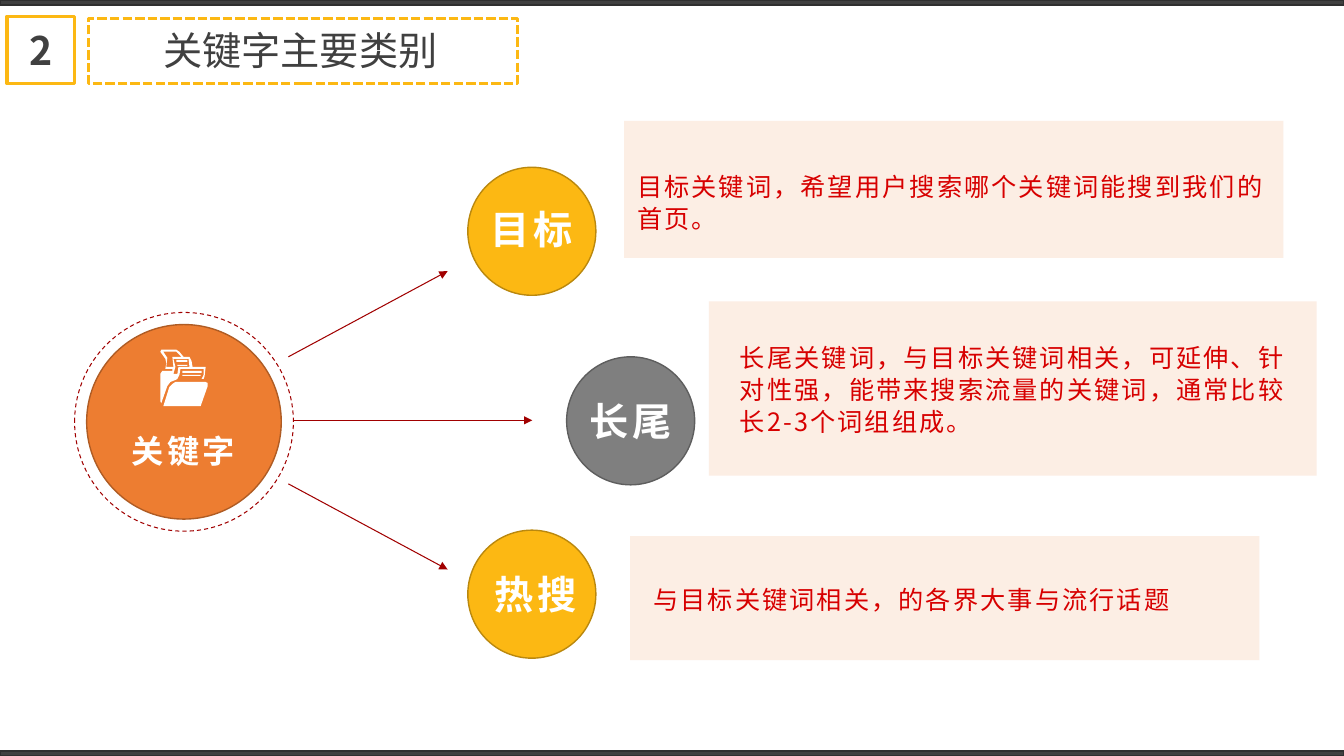
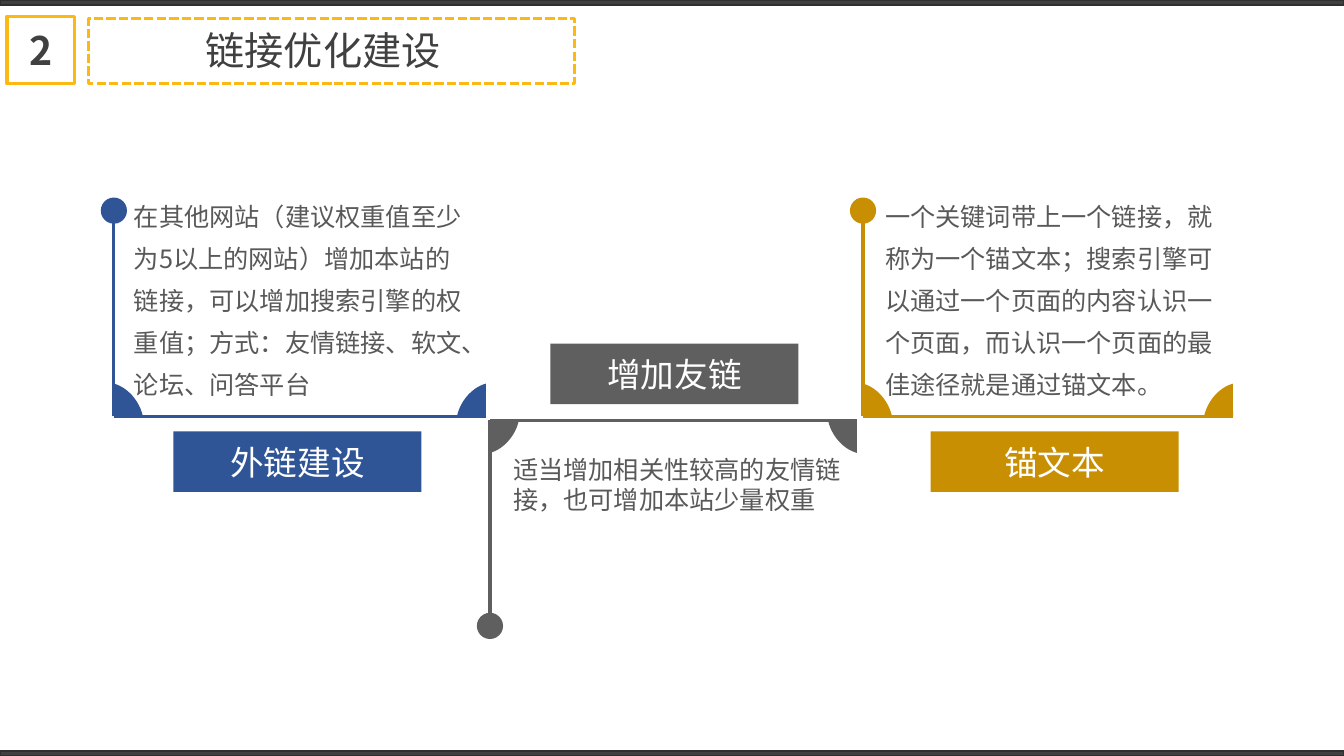
from dataclasses import dataclass
from typing import NamedTuple, Optional

from lxml import etree
from pptx import Presentation
from pptx.dml.color import RGBColor
from pptx.enum.dml import MSO_LINE
from pptx.enum.shapes import MSO_CONNECTOR, MSO_SHAPE
from pptx.enum.text import MSO_ANCHOR, PP_ALIGN
from pptx.oxml.ns import qn
from pptx.util import Pt

RECT, OVAL, PIE = MSO_SHAPE.RECTANGLE, MSO_SHAPE.OVAL, MSO_SHAPE.PIE
STRAIGHT = MSO_CONNECTOR.STRAIGHT
SHORT_DASH, DASH = MSO_LINE.SQUARE_DOT, MSO_LINE.DASH
LEFT, CENTER = PP_ALIGN.LEFT, PP_ALIGN.CENTER
TOP, MIDDLE, BOTTOM = MSO_ANCHOR.TOP, MSO_ANCHOR.MIDDLE, MSO_ANCHOR.BOTTOM

# Layout grid: every length below counts its columns or rows
COLS, ROWS = 1333, 750
CELL = 9144


@dataclass(frozen=True)
class Theme:
    font: str = "Noto Sans CJK SC"
    ink: str = "404040"
    ink_edge: str = "2F2F2F"
    white: str = "FFFFFF"
    amber: str = "FCB813"
    amber_edge: str = "BA880E"
    orange: str = "ED7D31"
    orange_edge: str = "AF5C24"
    gray: str = "7F7F7F"
    gray_edge: str = "5E5E5E"
    panel: str = "FBE5D6"
    panel_alpha: int = 65
    arrow: str = "A10000"
    red_text: str = "D70000"
    body_text: str = "595959"
    blue: str = "2F5597"
    slate: str = "5F5F5F"
    gold: str = "C98F03"
    title_size: int = 28
    tag_size: int = 24
    hub_size: int = 23
    body_size: int = 18
    thin: float = 0.75
    edge: float = 1
    thick: float = 2.25


THEME = Theme()


class Box(NamedTuple):
    left: float
    top: float
    width: float
    height: float


class Point(NamedTuple):
    x: float
    y: float


class Stroke(NamedTuple):
    color: str
    width: float
    dash: Optional[MSO_LINE] = None


class TextStyle(NamedTuple):
    size: int
    color: str
    bold: bool = False
    align: PP_ALIGN = CENTER
    anchor: MSO_ANCHOR = MIDDLE
    leading: Optional[float] = None
    tracking: float = 0
    wrap: bool = True


@dataclass(frozen=True)
class Branch:
    label: str
    circle: Point
    label_at: Point
    fill: str
    edge: str
    panel: Box
    note: str
    note_box: Box
    arrow_start: Point
    arrow_tip: Point


@dataclass(frozen=True)
class Bracket:
    tag: str
    color: str
    left: float
    right: float
    base: float
    upward: bool
    tag_at: Point
    note: str
    note_box: Box
    note_style: TextStyle


TITLE = TextStyle(THEME.title_size, THEME.ink, anchor=TOP)
NUMBER = TextStyle(THEME.title_size, THEME.ink, bold=True)
NODE = TextStyle(THEME.title_size, THEME.white, bold=True, tracking=2.5, wrap=False)
HUB = NODE._replace(size=THEME.hub_size)
RED_NOTE = TextStyle(THEME.body_size, THEME.red_text, align=LEFT, leading=23, tracking=1.5)
TAG = TextStyle(THEME.tag_size, THEME.white)
NOTE_BELOW = TextStyle(THEME.body_size, THEME.body_text, align=LEFT, anchor=TOP)
NOTE_ABOVE = NOTE_BELOW._replace(anchor=BOTTOM, leading=30)

CIRCLE = 127
LABEL_SIZE = (105, 57)
TAG_SIZE = (246, 60)
POST, BALL_REACH, BALL = 195, 204, 26
CORNER_SIZE, CORNER_TILT, CORNER_ARC = (54, 71), 31.7, (181.135, 18.899)

BRANCHES = [
    Branch("目标", Point(464, 166), Point(475, 199), THEME.amber, THEME.amber_edge,
           Box(619, 120, 654, 136),
           "目标关键词，希望用户搜索哪个关键词能搜到我们的首页。",
           Box(622, 162, 647, 75), Point(286, 354), Point(444, 269)),
    Branch("长尾", Point(562, 354), Point(573, 389), THEME.gray, THEME.gray_edge,
           Box(703, 299, 603, 173),
           "长尾关键词，与目标关键词相关，可延伸、针对性强，能带来搜索流量的关键词，"
           "通常比较长2-3个词组组成。",
           Box(724, 332, 582, 107), Point(292, 417), Point(528, 417)),
    Branch("热搜", Point(464, 526), Point(479, 561), THEME.amber, THEME.amber_edge,
           Box(625, 532, 624, 123),
           "与目标关键词相关，的各界大事与流行话题",
           Box(638, 573, 611, 42), Point(286, 480), Point(444, 565)),
]

BRACKETS = [
    Bracket("外链建设", THEME.blue, 113, 482, 413, True, Point(172, 428),
            "在其他网站（建议权重值至少为5以上的网站）增加本站的链接，可以增加搜索引擎的"
            "权重值；方式：友情链接、软文、论坛、问答平台",
            Box(123, 168, 350, 233), NOTE_ABOVE),
    Bracket("增加友链", THEME.slate, 486, 850, 417, False, Point(546, 341),
            "适当增加相关性较高的友情链接，也可增加本站少量权重",
            Box(499, 446, 347, 197), NOTE_BELOW),
    Bracket("锚文本", THEME.gold, 856, 1223, 413, True, Point(923, 428),
            "一个关键词带上一个链接，就称为一个锚文本；搜索引擎可以通过一个页面的内容"
            "认识一个页面，而认识一个页面的最佳途径就是通过锚文本。",
            Box(868, 179, 350, 222), NOTE_ABOVE),
]


def bar(left: int, top: int, right: int, bottom: int) -> list:
    return [(left, top), (right, top), (right, bottom), (left, bottom)]


FOLDER_ICON = [
    # Back cover with the outlines of both sheets
    [(171, 368), (161, 368), (159, 371), (159, 398), (160, 400), (166, 383), (169, 379),
     (174, 377), (176, 376), (178, 372), (179, 366), (202, 366), (202, 372), (200, 376),
     (202, 376), (203, 373), (204, 364), (191, 364), (190, 358), (188, 354), (182, 354),
     (178, 349), (175, 347), (160, 347), (159, 349), (164, 356), (165, 360), (164, 366),
     (171, 366)],
    # Text lines on the sheets
    bar(181, 372, 199, 373), bar(181, 368, 200, 370),
    bar(176, 362, 186, 363), bar(175, 357, 186, 359),
    # Front cover
    [(199, 403), (162, 403), (168, 384), (171, 381), (174, 379), (204, 379), (206, 380),
     (206, 383)],
    # Openings of the sheets
    [(176, 371), (172, 371), (174, 364), (172, 356), (187, 356), (188, 364), (177, 364)],
    [(172, 364), (165, 364), (166, 355), (162, 349), (175, 349), (180, 354), (171, 354)],
]


def emu(*cells: float) -> list[int]:
    return [round(cell * CELL) for cell in cells]


def write(shape, text: str, style: TextStyle) -> None:
    frame = shape.text_frame
    frame.text = text
    frame.word_wrap = style.wrap
    frame.vertical_anchor = style.anchor
    paragraph = frame.paragraphs[0]
    paragraph.alignment = style.align
    if style.leading:
        paragraph.line_spacing = Pt(style.leading)
    for run in paragraph.runs:
        run.font.name = THEME.font
        run.font.size = Pt(style.size)
        run.font.bold = style.bold
        run.font.color.rgb = RGBColor.from_string(style.color)
        properties = run.font._element
        etree.SubElement(properties, qn("a:ea")).set("typeface", THEME.font)
        if style.tracking:
            properties.set("spc", str(round(style.tracking * 100)))


def paint(shape, fill: Optional[str], stroke: Optional[Stroke] = None) -> None:
    shape.shadow.inherit = False
    if fill:
        shape.fill.solid()
        shape.fill.fore_color.rgb = RGBColor.from_string(fill)
    else:
        shape.fill.background()
    if stroke:
        shape.line.color.rgb = RGBColor.from_string(stroke.color)
        shape.line.width = Pt(stroke.width)
        if stroke.dash:
            shape.line.dash_style = stroke.dash
    else:
        shape.line.fill.background()


def add_block(slide, kind: MSO_SHAPE, box: Box, fill: Optional[str] = None,
              stroke: Optional[Stroke] = None):
    shape = slide.shapes.add_shape(kind, *emu(*box))
    paint(shape, fill, stroke)
    return shape


def add_words(slide, box: Box, text: str, style: TextStyle) -> None:
    write(slide.shapes.add_textbox(*emu(*box)), text, style)


def add_line(slide, start: Point, end: Point, stroke: Stroke, arrow: bool = False) -> None:
    line = slide.shapes.add_connector(STRAIGHT, *emu(*start, *end))
    line.line.color.rgb = RGBColor.from_string(stroke.color)
    line.line.width = Pt(stroke.width)
    if arrow:
        etree.SubElement(line.line._get_or_add_ln(), qn("a:tailEnd")).set("type", "triangle")
    etree.SubElement(line._element.spPr, qn("a:effectLst"))


def add_panel(slide, box: Box) -> None:
    panel = add_block(slide, RECT, box, THEME.panel)
    color = next(panel._element.spPr.iter(qn("a:srgbClr")))
    etree.SubElement(color, qn("a:alpha")).set("val", str(THEME.panel_alpha * 1000))


def add_corner(slide, center: Point, color: str, flip_h: bool, flip_v: bool) -> None:
    width, height = CORNER_SIZE
    box = Box(center.x - width / 2, center.y - height / 2, width, height)
    corner = add_block(slide, PIE, box, color)
    for index, angle in enumerate(CORNER_ARC):
        corner.adjustments[index] = angle
    corner.rotation = CORNER_TILT if flip_h != flip_v else 360 - CORNER_TILT
    frame = corner._element.spPr.find(qn("a:xfrm"))
    for name, flipped in (("flipH", flip_h), ("flipV", flip_v)):
        if flipped:
            frame.set(name, "1")


def add_folder(slide) -> None:
    first, *others = FOLDER_ICON
    builder = slide.shapes.build_freeform(*first[0], scale=float(CELL))
    builder.add_line_segments(first[1:], close=True)
    for contour in others:
        builder.move_to(*contour[0])
        builder.add_line_segments(contour[1:], close=True)
    paint(builder.convert_to_shape(), THEME.white)


def start_slide(deck, title: str, frame_width: float, title_width: float):
    slide = deck.slides.add_slide(deck.slide_layouts[6])
    # Title frame and section number
    add_block(slide, RECT, Box(88, 18, frame_width, 65), None,
              Stroke(THEME.amber, THEME.thick, SHORT_DASH))
    add_words(slide, Box(83, 21.5, title_width, 57), title, TITLE)
    number = add_block(slide, RECT, Box(7, 16, 67, 67), None,
                       Stroke(THEME.amber, THEME.thick))
    write(number, "2", NUMBER)
    # Bands along both edges
    for top in (0, ROWS - 5):
        add_block(slide, RECT, Box(0, top, COLS, 5), THEME.ink,
                  Stroke(THEME.ink_edge, THEME.edge))
    return slide


def add_branch(slide, branch: Branch) -> None:
    add_panel(slide, branch.panel)
    add_block(slide, OVAL, Box(*branch.circle, CIRCLE, CIRCLE), branch.fill,
              Stroke(branch.edge, THEME.edge))
    add_line(slide, branch.arrow_start, branch.arrow_tip,
             Stroke(THEME.arrow, THEME.thin), arrow=True)
    add_words(slide, branch.note_box, branch.note, RED_NOTE)
    add_words(slide, Box(*branch.label_at, *LABEL_SIZE), branch.label, NODE)


def add_bracket(slide, bracket: Bracket) -> None:
    left, base, color = bracket.left, bracket.base, bracket.color
    direction = -1 if bracket.upward else 1
    stroke = Stroke(color, THEME.thick)
    # Base line, post and ball
    add_line(slide, Point(left, base), Point(bracket.right, base), stroke)
    add_line(slide, Point(left, base), Point(left, base + direction * POST), stroke)
    ball_top = base + direction * BALL_REACH - BALL / 2
    add_block(slide, OVAL, Box(left - BALL / 2, ball_top, BALL, BALL), color)
    # Rounded corners, tag and note
    for x, flip_h in ((left, False), (bracket.right, True)):
        add_corner(slide, Point(x, base), color, flip_h, not bracket.upward)
    write(add_block(slide, RECT, Box(*bracket.tag_at, *TAG_SIZE), color), bracket.tag, TAG)
    add_words(slide, bracket.note_box, bracket.note, bracket.note_style)


def main() -> None:
    deck = Presentation()
    deck.slide_width, deck.slide_height = emu(COLS, ROWS)

    # Keyword categories
    categories = start_slide(deck, "关键字主要类别", 425, 430)
    add_block(categories, OVAL, Box(86, 322, 193, 193), THEME.orange,
              Stroke(THEME.orange_edge, THEME.edge))
    add_block(categories, OVAL, Box(74, 310, 217, 217), None,
              Stroke(THEME.arrow, THEME.thin, DASH))
    add_words(categories, Box(119, 423, 126, 49), "关键字", HUB)
    add_folder(categories)
    for branch in BRANCHES:
        add_branch(categories, branch)

    # Link building
    links = start_slide(deck, "链接优化建设", 482, 475)
    for bracket in BRACKETS:
        add_bracket(links, bracket)

    deck.save("out.pptx")


if __name__ == "__main__":
    main()
